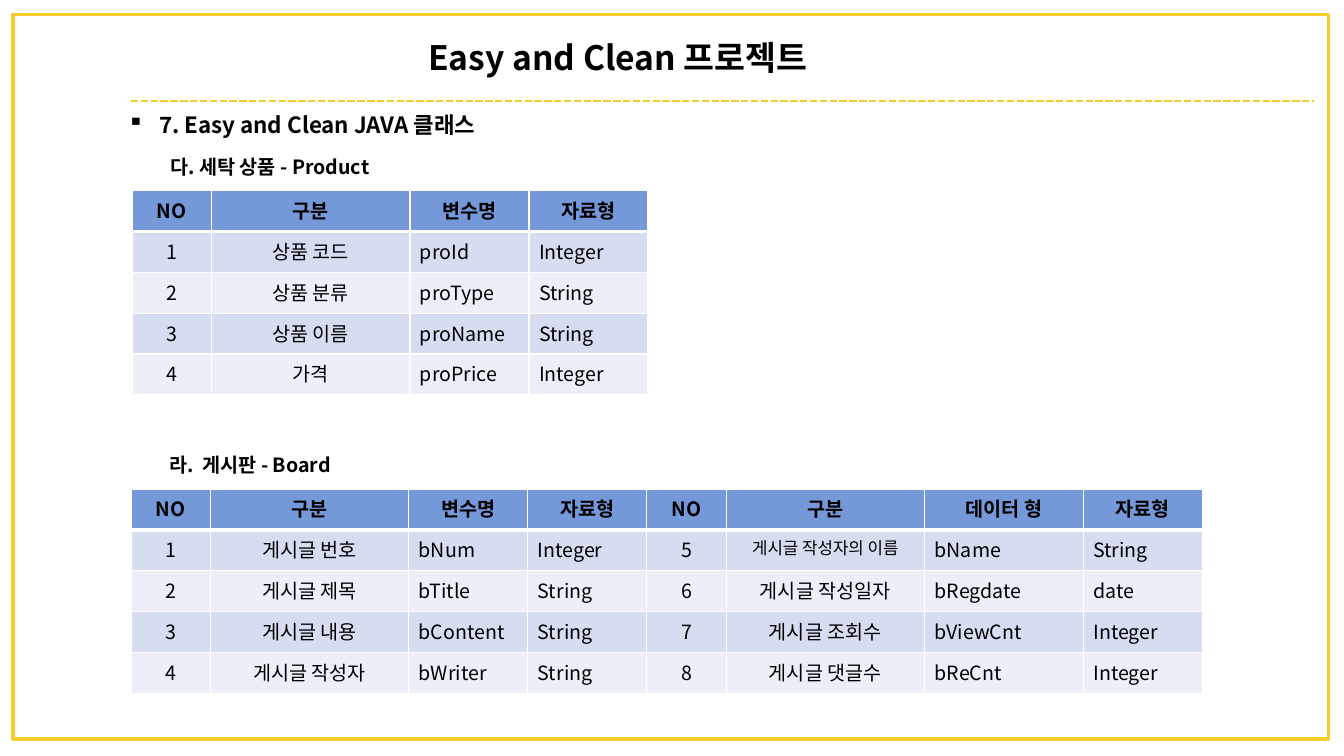
from lxml import etree
from pptx import Presentation
from pptx.dml.color import RGBColor
from pptx.enum.dml import MSO_LINE
from pptx.enum.shapes import MSO_CONNECTOR, MSO_SHAPE
from pptx.enum.text import MSO_AUTO_SIZE, PP_ALIGN
from pptx.oxml.ns import qn
from pptx.util import Cm, Pt

RECTANGLE = MSO_SHAPE.RECTANGLE
STRAIGHT = MSO_CONNECTOR.STRAIGHT
SHORT_DASH = MSO_LINE.SQUARE_DOT
GROW = MSO_AUTO_SIZE.SHAPE_TO_FIT_TEXT
LEFT, CENTER = PP_ALIGN.LEFT, PP_ALIGN.CENTER

FONT = "Noto Sans CJK KR"
BLACK = RGBColor(0x00, 0x00, 0x00)
YELLOW = RGBColor(0xF5, 0xCD, 0x2D)
HEADER_BLUE = RGBColor(0x75, 0x98, 0xD9)
BAND_DARK = RGBColor(0xD6, 0xDD, 0xF1)
BAND_LIGHT = RGBColor(0xEC, 0xEF, 0xF8)
BORDER_WHITE = "FFFFFF"

ROW_HEIGHT = 1.03
PRODUCT_WIDTHS = [2, 5, 3, 3]
BOARD_WIDTHS = [2, 5, 3, 3, 2, 5, 4, 3]
CENTERED_HEADINGS = ("NO", "구분")
SMALL_TEXT = "게시글 작성자의 이름"

PRODUCT_ROWS = [
    ["NO", "구분", "변수명", "자료형"],
    ["1", "상품 코드", "proId", "Integer"],
    ["2", "상품 분류", "proType", "String"],
    ["3", "상품 이름", "proName", "String"],
    ["4", "가격", "proPrice", "Integer"],
]
BOARD_ROWS = [
    ["NO", "구분", "변수명", "자료형", "NO", "구분", "데이터 형", "자료형"],
    ["1", "게시글 번호", "bNum", "Integer", "5", SMALL_TEXT, "bName", "String"],
    ["2", "게시글 제목", "bTitle", "String", "6", "게시글 작성일자", "bRegdate", "date"],
    ["3", "게시글 내용", "bContent", "String", "7", "게시글 조회수", "bViewCnt", "Integer"],
    ["4", "게시글 작성자", "bWriter", "String", "8", "게시글 댓글수", "bReCnt", "Integer"],
]


def write(para, text, size, bold=True, align=LEFT):
    para.alignment = align
    span = para.add_run()
    span.text = text
    font_format = {"name": FONT, "size": Pt(size), "bold": bold}
    for name, value in font_format.items():
        setattr(span.font, name, value)
    span.font.color.rgb = BLACK
    east_asian = etree.SubElement(span.font._element, qn("a:ea"))
    east_asian.set("typeface", FONT)


def add_text(page, text, left, top, width, height, size, align=LEFT):
    box = page.shapes.add_textbox(Cm(left), Cm(top), Cm(width), Cm(height))
    box.text_frame.word_wrap = True
    box.text_frame.auto_size = GROW
    para = box.text_frame.paragraphs[0]
    write(para, text, size, align=align)
    return para


def add_bullet(para, symbol, indent):
    properties = para._p.get_or_add_pPr()
    properties.set("marL", str(Cm(indent)))
    properties.set("indent", str(-Cm(indent)))
    etree.SubElement(properties, qn("a:buChar")).set("char", symbol)


def add_frame(page):
    frame = page.shapes.add_shape(RECTANGLE, Cm(0.33), Cm(0.36), Cm(33.15), Cm(18.26))
    frame.shadow.inherit = False
    frame.fill.background()
    frame.line.color.rgb = YELLOW
    frame.line.width = Pt(2.5)


def add_divider(page):
    divider = page.shapes.add_connector(STRAIGHT, Cm(3.3), Cm(2.54), Cm(33.12), Cm(2.54))
    divider.line.color.rgb = YELLOW
    divider.line.width = Pt(1.75)
    divider.line.dash_style = SHORT_DASH
    etree.SubElement(divider._element.spPr, qn("a:effectLst"))


def add_borders(cell, bottom_width):
    """Draw white cell borders; call before the fill, which must follow them."""
    properties = cell._tc.get_or_add_tcPr()
    widths = {"a:lnL": 1, "a:lnR": 1, "a:lnT": 1, "a:lnB": bottom_width}
    for tag, width in widths.items():
        border = etree.SubElement(properties, qn(tag), w=str(Pt(width)))
        fill = etree.SubElement(border, qn("a:solidFill"))
        etree.SubElement(fill, qn("a:srgbClr"), val=BORDER_WHITE)


def add_class_table(page, rows, widths, left, top):
    table = page.shapes.add_table(
        len(rows), len(widths), Cm(left), Cm(top),
        Cm(sum(widths)), Cm(ROW_HEIGHT * len(rows))).table
    for column, width in zip(table.columns, widths):
        column.width = Cm(width)
    for row_index, values in enumerate(rows):
        table.rows[row_index].height = Cm(ROW_HEIGHT)
        is_header = row_index == 0
        band = BAND_DARK if row_index % 2 else BAND_LIGHT
        for column_index, text in enumerate(values):
            cell = table.cell(row_index, column_index)
            add_borders(cell, 3 if is_header else 1)
            cell.fill.solid()
            cell.fill.fore_color.rgb = HEADER_BLUE if is_header else band
            centered = is_header or rows[0][column_index] in CENTERED_HEADINGS
            write(cell.text_frame.paragraphs[0], text,
                  12 if text == SMALL_TEXT else 14,
                  bold=is_header, align=CENTER if centered else LEFT)


def main():
    deck = Presentation()
    deck.slide_width, deck.slide_height = Cm(33.87), Cm(19.05)
    page = deck.slides.add_slide(deck.slide_layouts[6])

    add_frame(page)
    add_text(page, "Easy and Clean 프로젝트", 3.63, 0.81, 23.88, 1.27, 24, CENTER)
    add_divider(page)
    heading = add_text(page, "7. Easy and Clean JAVA 클래스", 2.97, 2.67, 26.62, 0.94, 16)
    add_bullet(heading, "▪", 0.79)
    add_class_table(page, BOARD_ROWS, BOARD_WIDTHS, 3.3, 12.32)
    add_text(page, "라.  게시판 - Board", 4.01, 11.3, 17.3, 0.86, 14)
    add_class_table(page, PRODUCT_ROWS, PRODUCT_WIDTHS, 3.33, 4.8)
    add_text(page, "다. 세탁 상품 - Product", 4.04, 3.78, 17.3, 0.86, 14)
    deck.save("out.pptx")


if __name__ == "__main__":
    main()
